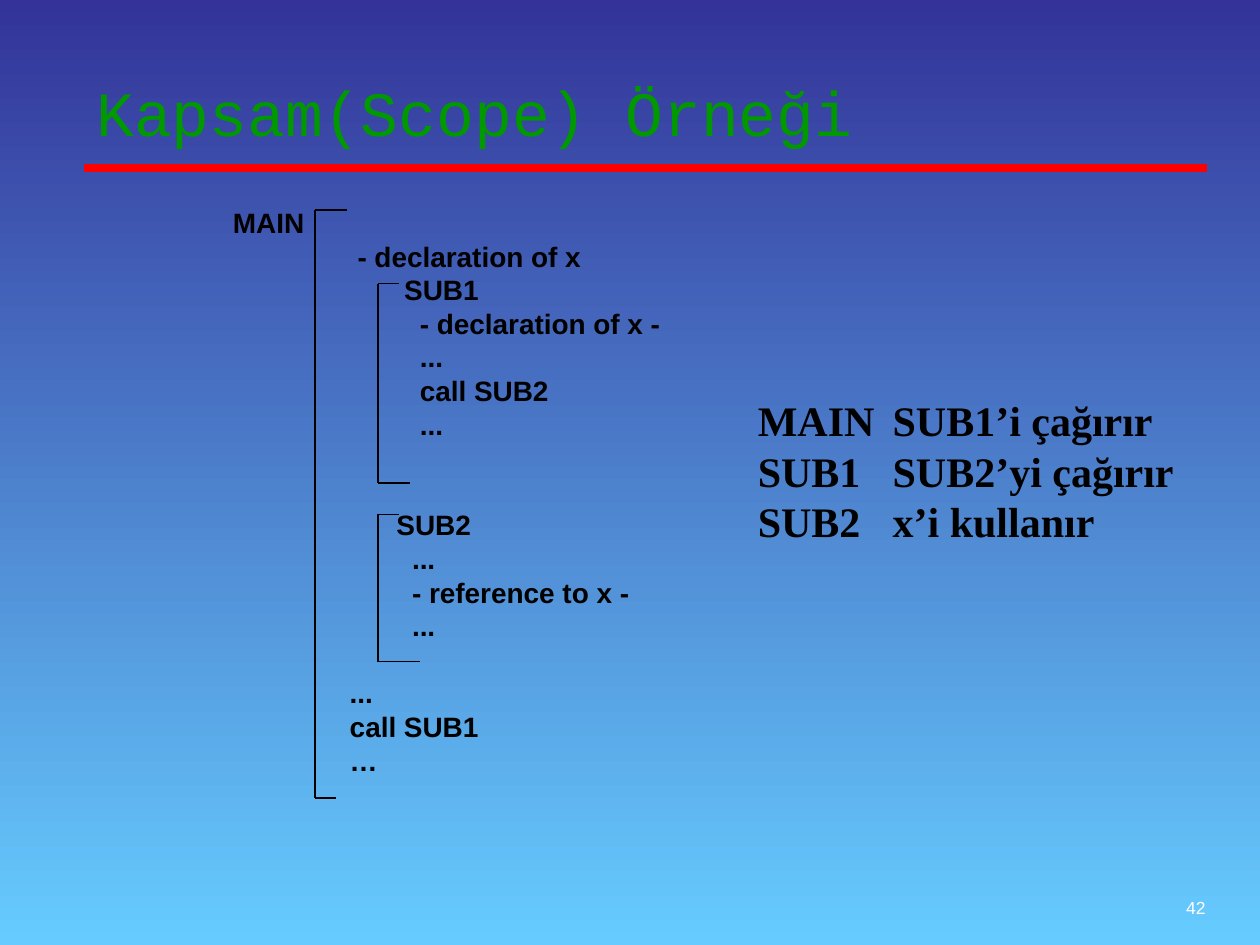
"""Build the slide that explains variable scope with nested program units."""
from lxml import etree
from pptx import Presentation, util as u
from pptx.dml.color import RGBColor
from pptx.enum import shapes, text
from pptx.oxml import ns

BLACK = RGBColor(0x00, 0x00, 0x00)
WHITE = RGBColor(0xFF, 0xFF, 0xFF)
RED = RGBColor(0xFF, 0x00, 0x00)
GREEN = RGBColor(0x00, 0x99, 0x00)
NAVY = RGBColor(0x33, 0x33, 0x99)
SKY = RGBColor(0x66, 0xCC, 0xFF)

presentation = Presentation()
presentation.slide_width = u.Inches(10)
presentation.slide_height = u.Inches(7.5)
COLUMN = presentation.slide_width // 120
ROW = presentation.slide_height // 90
INDENT = u.Pt(4.45)

slide = presentation.slides.add_slide(presentation.slide_layouts[6])
background = slide.background.fill
background.gradient()
background.gradient_angle = 270
for stop, color in zip(background.gradient_stops, (NAVY, SKY)):
    stop.color.rgb = color


def add_text(lines, left, top, width, height, *, size, font, color=BLACK, bold=False,
             spacing=None, tab=None, inset=0.05, align=text.PP_ALIGN.LEFT,
             anchor=text.MSO_ANCHOR.TOP):
    """Add a text box whose lines are (words, indent steps, blank lines before)."""
    box = slide.shapes.add_textbox(left * COLUMN, top * ROW, width * COLUMN, height * ROW)
    frame = box.text_frame
    frame.word_wrap = True
    frame.margin_top = u.Inches(inset)
    frame.vertical_anchor = anchor
    for index, (words, steps, gap) in enumerate(lines):
        paragraph = frame.paragraphs[0] if index == 0 else frame.add_paragraph()
        paragraph.alignment = align
        properties = paragraph._p.get_or_add_pPr()
        if steps:
            properties.set("marL", str(steps * INDENT))
        if spacing:
            paragraph.line_spacing = u.Pt(spacing)
        if gap:
            paragraph.space_before = u.Pt(gap * spacing)
        if tab:
            tabs = etree.SubElement(properties, ns.qn("a:tabLst"))
            etree.SubElement(tabs, ns.qn("a:tab"), pos=str(u.Inches(tab)), algn="l")
        run = paragraph.add_run()
        run.text = words
        run.font.size = u.Pt(size)
        run.font.name = font
        run.font.bold = bold
        run.font.color.rgb = color


def add_line(start, end, color=BLACK, width=1):
    """Add a straight line between two grid points."""
    line = slide.shapes.add_connector(
        shapes.MSO_CONNECTOR.STRAIGHT,
        start[0] * COLUMN, start[1] * ROW, end[0] * COLUMN, end[1] * ROW)
    line.line.color.rgb = color
    line.line.width = u.Pt(width)
    etree.SubElement(line._element.spPr, ns.qn("a:effectLst"))


add_line((8, 16), (115, 16), RED, 4.5)
add_text([("Kapsam(Scope) Örneği", 0, 0)], 8, 5, 107, 15,
         size=36, font="Courier New", color=GREEN, inset=0.17)

program = [
    ("MAIN", 0, 0),
    ("- declaration of x", 16, 0),
    ("SUB1", 22, 0),
    ("- declaration of x -", 24, 0),
    ("...", 24, 0),
    ("call SUB2", 24, 0),
    ("...", 24, 0),
    ("SUB2", 21, 2),
    ("...", 23, 0),
    ("- reference to x -", 23, 0),
    ("...", 23, 0),
    ("...", 15, 1),
    ("call SUB1", 15, 0),
    ("…", 15, 0),
]
add_text(program, 21, 19, 94, 59, size=16, font="Arial", bold=True, spacing=19.2)

brackets = [(30, 20, 76, 33, 32), (36, 27, 46, 38, 39), (36, 49, 63, 38, 40)]
for left, top, bottom, top_end, bottom_end in brackets:
    add_line((left, top), (top_end, top))
    add_line((left, top), (left, bottom))
    add_line((left, bottom), (bottom_end, bottom))

calls = ["MAIN\tSUB1’i çağırır", "SUB1\tSUB2’yi çağırır", "SUB2\tx’i kullanır"]
add_text([(call, 0, 0) for call in calls], 71, 37, 42, 25,
         size=24, font="Times New Roman", bold=True, spacing=28.8, tab=1.07)

add_text([("42", 0, 0)], 91, 82, 25, 6, size=10, font="Arial", color=WHITE,
         align=text.PP_ALIGN.RIGHT, anchor=text.MSO_ANCHOR.BOTTOM)

presentation.save("out.pptx")
